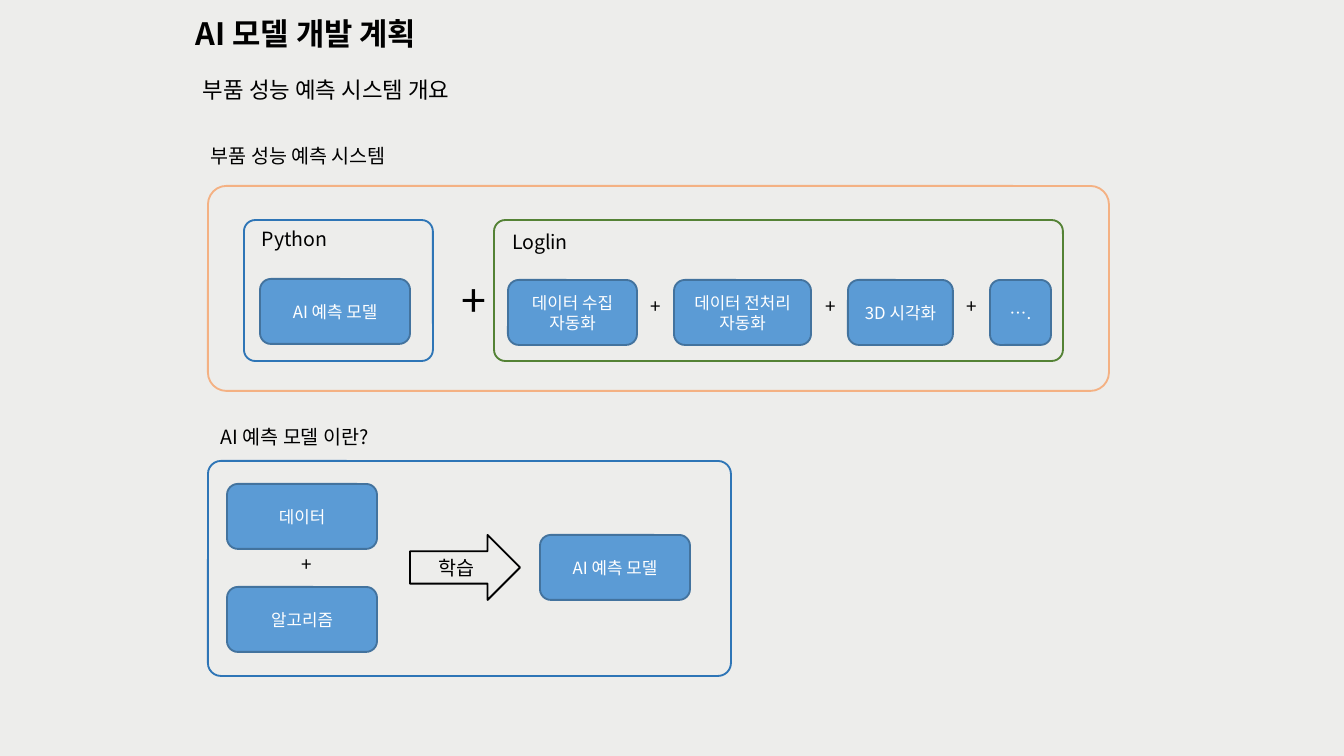
import pptx
import pptx.util
import pptx.dml.color
import pptx.enum.shapes
import pptx.enum.text
import pptx.oxml

RGBColor = pptx.dml.color.RGBColor
Pt = pptx.util.Pt
SHAPE = pptx.enum.shapes.MSO_SHAPE
ALIGN = pptx.enum.text.PP_ALIGN
ANCHOR = pptx.enum.text.MSO_ANCHOR

FONT = "Noto Sans CJK KR"
BACKGROUND = RGBColor(0xED, 0xED, 0xEB)
BLACK = RGBColor(0, 0, 0)
WHITE = RGBColor(0xFF, 0xFF, 0xFF)
CARD_FILL = RGBColor(0x5B, 0x9B, 0xD5)
CARD_LINE = RGBColor(0x43, 0x73, 0x9E)
ORANGE = RGBColor(0xF4, 0xB1, 0x83)
BLUE = RGBColor(0x2E, 0x75, 0xB6)
GREEN = RGBColor(0x54, 0x82, 0x35)

SLIDE_WIDTH, SLIDE_HEIGHT = 1344, 756
SCALE = 9144000 / SLIDE_WIDTH
CARD_WIDTH, CARD_HEIGHT = 150, 65
INSET_X, INSET_Y = 13, 3


def px(*lengths):
    return [pptx.util.Emu(round(length * SCALE)) for length in lengths]


def write(shape, text, size, color=BLACK, bold=False, align=ALIGN.LEFT, anchor=ANCHOR.TOP):
    frame = shape.text_frame
    frame.word_wrap = True
    frame.vertical_anchor = anchor
    frame.margin_left, frame.margin_right = px(INSET_X, INSET_X)
    frame.margin_top, frame.margin_bottom = px(INSET_Y, INSET_Y)
    frame.text = text
    para = frame.paragraphs[0]
    para.alignment = align
    span = para.runs[0]
    span.font.name = FONT
    span.font.size = Pt(size)
    span.font.bold = bold
    span.font.color.rgb = color
    east_asian = pptx.oxml.parse_xml(
        '<a:ea xmlns:a="http://schemas.openxmlformats.org/drawingml/2006/main"'
        f' typeface="{FONT}"/>')
    span.font._element.append(east_asian)
    return para


def add_label(page, left, top, width, height, text, size=10.5, **style):
    box = page.shapes.add_textbox(*px(left, top, width, height))
    return write(box, text, size, **style)


def add_outline(page, kind, left, top, width, height, line, fill=None):
    shape = page.shapes.add_shape(kind, *px(left, top, width, height))
    shape.shadow.inherit = False
    if fill is None:
        shape.fill.background()
    else:
        shape.fill.solid()
        shape.fill.fore_color.rgb = fill
    shape.line.color.rgb = line
    shape.line.width = Pt(1)
    return shape


def add_frame(page, left, top, width, height, line, rounding):
    frame = add_outline(page, SHAPE.ROUNDED_RECTANGLE, left, top, width, height, line)
    frame.adjustments[0] = rounding


def add_card(page, left, top, text, width=CARD_WIDTH):
    card = add_outline(page, SHAPE.ROUNDED_RECTANGLE, left, top, width, CARD_HEIGHT,
                       CARD_LINE, CARD_FILL)
    write(card, text, 9, WHITE, align=ALIGN.CENTER, anchor=ANCHOR.MIDDLE)


def add_plus(page, left, top, size=10.1, height=36):
    add_label(page, left, top, 28, height, "+", size)


def add_header(page, left, top):
    add_label(page, left, top, 810, 44, "AI 모델 개발 계획", 16.5, bold=True,
              anchor=ANCHOR.MIDDLE)
    heading = add_label(page, left + 7, top + 55, 274, 50, "부품 성능 예측 시스템 개요", 12)
    heading.line_spacing = 1.25


def add_system(page, left, top):
    add_label(page, left - 10, top - 45, 505, 38, "부품 성능 예측 시스템")
    add_frame(page, left, top, 901, 205, ORANGE, 0.09)
    add_frame(page, left + 36, top + 34, 189, 141, BLUE, 0.08)
    add_label(page, left + 41, top + 38, 102, 38, "Python")
    add_card(page, left + 52, top + 93, "AI 예측 모델")
    add_plus(page, left + 240, top + 84, 24, 67)

    add_frame(page, left + 286, top + 34, 569, 141, GREEN, 0.08)
    add_label(page, left + 291, top + 41, 95, 38, "Loglin")
    steps = [(300, 129, "데이터 수집 자동화"), (466, 137, "데이터 전처리 자동화"),
             (640, 105, "3D 시각화"), (782, 61, "….")]
    for index, (offset, width, text) in enumerate(steps):
        add_card(page, left + offset, top + 94, text, width)
        if index < len(steps) - 1:
            add_plus(page, left + offset + width + 1, top + 106)


def add_model(page, left, top):
    add_label(page, left, top - 39, 271, 38, "AI 예측 모델 이란?")
    add_frame(page, left, top, 523, 215, BLUE, 0.06)
    for offset, text in ((23, "데이터"), (126, "알고리즘")):
        add_card(page, left + 19, top + offset, text)
    add_plus(page, left + 80, top + 89)
    arrow = add_outline(page, SHAPE.RIGHT_ARROW, left + 202, top + 74, 110, CARD_HEIGHT, BLACK)
    write(arrow, "학습", 10.5, align=ALIGN.CENTER, anchor=ANCHOR.MIDDLE)
    add_card(page, left + 332, top + 74, "AI 예측 모델")


def main():
    deck = pptx.Presentation()
    deck.slide_width, deck.slide_height = px(SLIDE_WIDTH, SLIDE_HEIGHT)
    page = deck.slides.add_slide(deck.slide_layouts[6])
    page.background.fill.solid()
    page.background.fill.fore_color.rgb = BACKGROUND
    add_header(page, 183, 11)
    add_system(page, 208, 186)
    add_model(page, 208, 461)
    deck.save("out.pptx")


if __name__ == "__main__":
    main()
